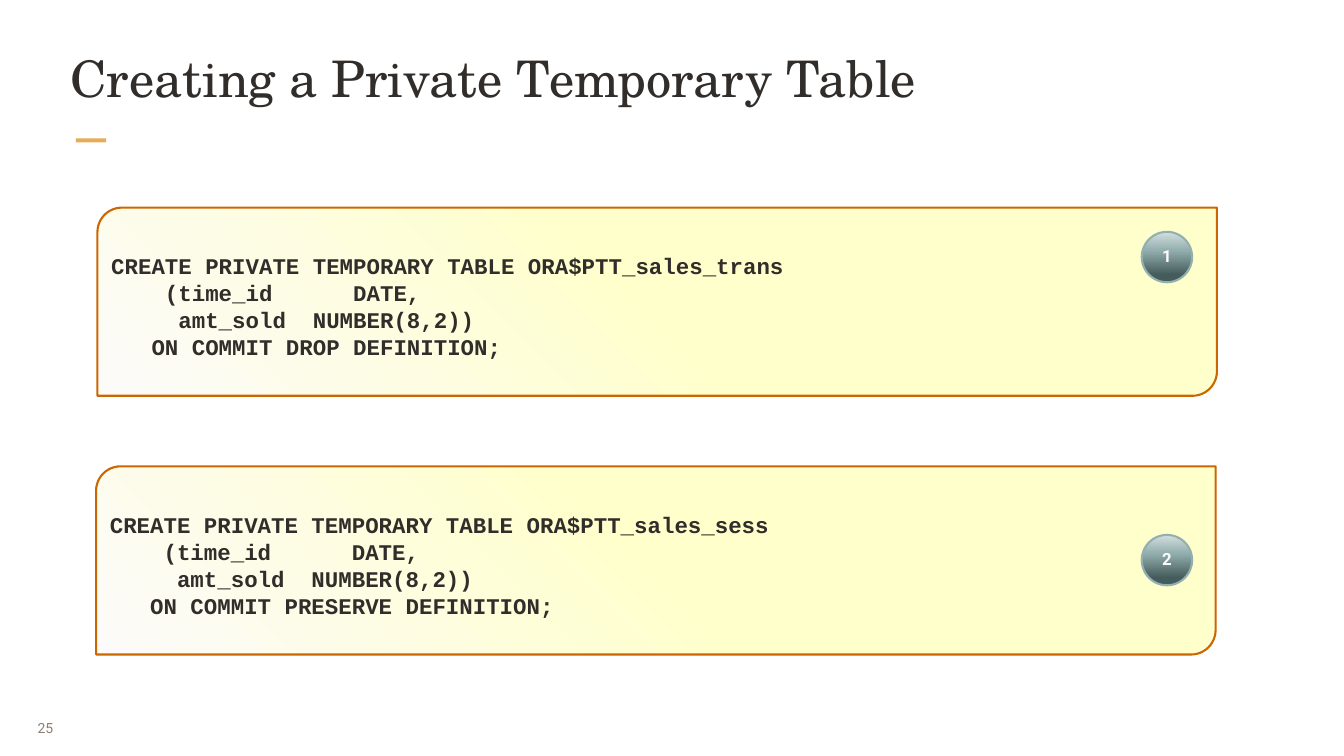
from lxml import etree
from pptx import Presentation
from pptx.dml.color import RGBColor
from pptx.enum.shapes import MSO_SHAPE as Shape
from pptx.enum.text import MSO_ANCHOR as Anchor, PP_ALIGN as Align
from pptx.oxml.ns import qn
from pptx.util import Inches, Pt

INK = "312D2A"
PAPER = "FCFBFA"
CODE_STOPS = [(0, "FFFFCC"), (50, "FFFFCC"), (100, PAPER)]
BADGE_STOPS = [(0, "D4DFDF"), (36, "94AFAF"), (85, "455C5C")]


def color(value):
    """Return the colour for a hex string."""
    return RGBColor.from_string(value)


def write_text(shape, text, size, font, ink, bold=False, align=Align.LEFT,
               anchor=Anchor.TOP, insets=(0.1, 0.1, 0.1, 0.1), wrap=True, spacing=None):
    """Write each line of text as one formatted paragraph of the shape."""
    frame = shape.text_frame
    frame.word_wrap = wrap
    frame.vertical_anchor = anchor
    (frame.margin_left, frame.margin_top,
     frame.margin_right, frame.margin_bottom) = map(Inches, insets)
    for index, line in enumerate(text.split("\n")):
        para = frame.add_paragraph() if index else frame.paragraphs[0]
        para.alignment = align
        para.line_spacing = spacing
        span = para.add_run()
        span.text = line
        span.font.size = Pt(size)
        span.font.name = font
        span.font.bold = bold
        span.font.color.rgb = color(ink)


def add_text(page, place, text, **style):
    """Add a text box."""
    box = page.shapes.add_textbox(*map(Inches, place))
    write_text(box, text, **style)


def fill_gradient(shape, stops, angle):
    """Fill a shape with a linear gradient, its angle measured clockwise."""
    gradient = etree.Element(qn("a:gradFill"), rotWithShape="1")
    stop_list = etree.SubElement(gradient, qn("a:gsLst"))
    for percent, value in stops:
        stop = etree.SubElement(stop_list, qn("a:gs"), pos=str(percent * 1000))
        etree.SubElement(stop, qn("a:srgbClr"), val=value)
    etree.SubElement(gradient, qn("a:lin"), ang=str(angle * 60000), scaled="0")
    shape.element.spPr.find(qn("a:prstGeom")).addnext(gradient)


def add_gradient_shape(page, kind, place, stops, angle, outline):
    """Add an outlined shape with a gradient fill."""
    shape = page.shapes.add_shape(kind, *map(Inches, place))
    shape.shadow.inherit = False
    fill_gradient(shape, stops, angle)
    shape.line.color.rgb = color(outline)
    shape.line.width = Pt(2.25)
    return shape


def add_code(page, left, top, code):
    """Add a code panel with two rounded corners."""
    panel = add_gradient_shape(page, Shape.ROUND_2_DIAG_RECTANGLE,
                               (left, top, 16.66, 2.8), CODE_STOPS, 135, "CC6600")
    panel.adjustments[0] = 0.13
    panel.adjustments[1] = 0
    write_text(panel, code, size=24, font="Courier New", ink=INK, bold=True,
               insets=(0.1, 0.56, 0.02, 0.02))


def add_badge(page, top, number):
    """Add a round number badge."""
    badge = add_gradient_shape(page, Shape.OVAL, (16.99, top, 0.75, 0.75),
                               BADGE_STOPS, 90, "94AFAF")
    write_text(badge, str(number), size=18, font="Roboto", ink=PAPER, bold=True,
               align=Align.CENTER, anchor=Anchor.MIDDLE, wrap=False, spacing=0.95)


def add_accent(page):
    """Add the short bar under the title."""
    bar = page.shapes.add_shape(Shape.RECTANGLE, *map(Inches, (1.13, 2.06, 0.45, 0.06)))
    bar.shadow.inherit = False
    bar.fill.solid()
    bar.fill.fore_color.rgb = color("E6AC58")
    bar.line.fill.background()


def table_code(name, action):
    """Return the statement that creates a private temporary table."""
    return (f"CREATE PRIVATE TEMPORARY TABLE ORA$PTT_{name}\n"
            "    (time_id      DATE,\n"
            "     amt_sold  NUMBER(8,2))\n"
            f"   ON COMMIT {action} DEFINITION;")


def main():
    """Build the slide and save it."""
    deck = Presentation()
    deck.slide_width, deck.slide_height = Inches(20), Inches(11.25)
    page = deck.slides.add_slide(deck.slide_layouts[6])
    add_accent(page)
    add_text(page, (0.43, 10.54, 0.65, 0.58), "25", size=15, font="Roboto", ink="8B8078",
             anchor=Anchor.MIDDLE, insets=(0.13, 0.07, 0.13, 0.07))
    add_text(page, (1.02, 0.67, 17.96, 1.28), "Creating a Private Temporary Table",
             size=54, font="TeX Gyre Schola", ink=INK, insets=(0.03, 0.03, 0.03, 0.03))
    examples = [(1.45, 3.09, 3.45, "sales_trans", "DROP"),
                (1.43, 6.94, 7.96, "sales_sess", "PRESERVE")]
    for number, (left, top, badge_top, name, action) in enumerate(examples, 1):
        add_code(page, left, top, table_code(name, action))
        add_badge(page, badge_top, number)
    deck.save("out.pptx")


if __name__ == "__main__":
    main()
